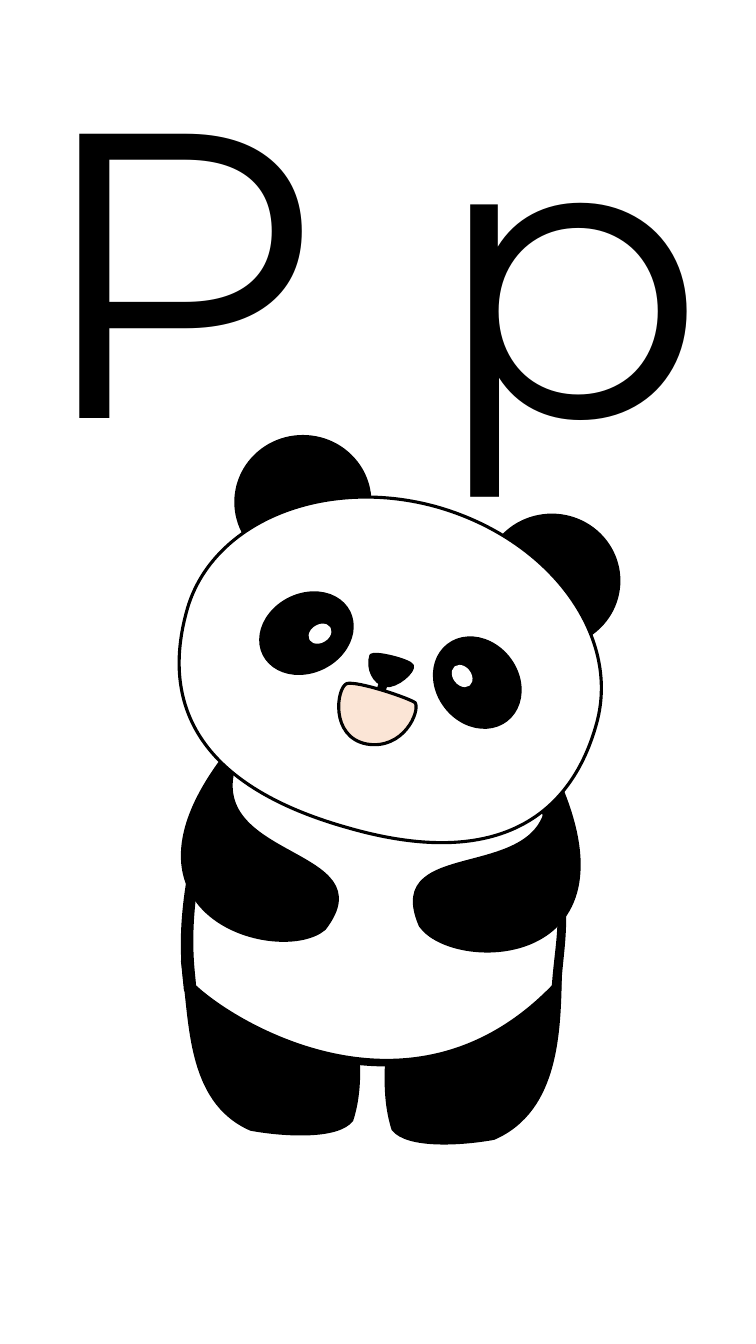
from dataclasses import dataclass
from math import cos, radians, sin

from lxml.etree import SubElement
from pptx import Presentation
from pptx.dml.color import RGBColor
from pptx.enum.shapes import MSO_SHAPE as Shape
from pptx.enum.text import MSO_AUTO_SIZE as AutoSize
from pptx.oxml.ns import qn
from pptx.util import Inches, Pt

BLACK = RGBColor(0x00, 0x00, 0x00)
WHITE = RGBColor(0xFF, 0xFF, 0xFF)
PEACH = RGBColor(0xFB, 0xE5, 0xD6)

# The page is a grid of 750 columns by 1333 rows
CELL = Inches(0.01)
COLUMNS, ROWS = 750, 1333


@dataclass
class Outline:
    """A frame, a start point, and segments of one point (line) or three (curve)."""
    frame: tuple
    start: tuple
    segments: list
    rotation: float = 0


LEFT_LEG = Outline((181, 947, 174, 178), (181, 953), [
    [(348, 947)],
    [(348, 1002), (365, 1062), (349, 1111)],
    [(335, 1129), (282, 1126), (249, 1120)],
    [(185, 1092), (190, 1011), (181, 953)]])
RIGHT_LEG = Outline((383, 956, 173, 178), (556, 961), [
    [(391, 956)],
    [(391, 1011), (374, 1070), (390, 1120)],
    [(404, 1138), (457, 1135), (490, 1129)],
    [(554, 1101), (555, 1022), (556, 961)]])
BODY_EDGE = Outline((181, 760, 380, 296), (216, 763), [
    [(529, 760)],
    [(574, 897), (558, 923), (555, 982)],
    [(408, 1128), (226, 1020), (184, 982)],
    [(183, 963), (168, 899), (216, 763)]])
BELLY = Outline((190, 757, 365, 295), (224, 759), [
    [(525, 757)],
    [(568, 894), (553, 919), (549, 978)],
    [(409, 1123), (233, 1016), (193, 978)],
    [(192, 959), (178, 895), (224, 759)]])
RIGHT_ARM = Outline((421, 770, 154, 179), (557, 782), [
    [(543, 779)],
    [(554, 884), (377, 825), (417, 918)],
    [(449, 964), (631, 962), (557, 782)]], 14.1)
LEFT_ARM = Outline((181, 754, 154, 179), (220, 754), [
    [(234, 755)],
    [(198, 855), (384, 840), (322, 921)],
    [(280, 957), (104, 911), (220, 754)]])
HEAD = Outline((177, 497, 422, 331), (185, 607), [
    [(208, 519), (319, 472), (431, 502)],
    [(544, 533), (616, 629), (592, 717)],
    [(568, 805), (498, 865), (345, 821)],
    [(192, 778), (161, 695), (185, 607)]], 15.1)
NOSE = Outline((364, 651, 44, 29), (368, 650), [
    [(372, 646), (407, 655), (409, 660)],
    [(412, 665), (394, 682), (382, 680)],
    [(371, 677), (364, 663), (368, 650)]], 13.8)
MOUTH = Outline((333, 683, 77, 56), (344, 678), [
    [(354, 675), (405, 692), (412, 697)],
    [(417, 706), (400, 744), (364, 738)],
    [(327, 731), (334, 682), (344, 678)]], 13.5)


def cells(lengths):
    return [CELL * length for length in lengths]


def paint(shape, fill, line):
    shape.shadow.inherit = False
    shape.fill.solid()
    shape.fill.fore_color.rgb = fill
    shape.line.color.rgb = line
    shape.line.width = Pt(2.25)


def local_point(outline, point):
    """The point inside the frame before the frame is turned."""
    left, top, width, height = outline.frame
    turn = radians(-outline.rotation)
    dx, dy = point[0] - left - width / 2, point[1] - top - height / 2
    return (round(CELL * (width / 2 + dx * cos(turn) - dy * sin(turn))),
            round(CELL * (height / 2 + dx * sin(turn) + dy * cos(turn))))


def add_outline(panda, outline, fill=BLACK):
    builder = panda.shapes.build_freeform(*cells(outline.start))
    builder.add_line_segments([cells(part[-1]) for part in outline.segments])
    shape = builder.convert_to_shape()
    shape.left, shape.top, shape.width, shape.height = cells(outline.frame)
    shape.rotation = outline.rotation
    paint(shape, fill, BLACK)
    # Give the outline its true curves
    route = shape.element.find(".//" + qn("a:path"))
    for child in list(route):
        route.remove(child)
    route.set("w", str(shape.width))
    route.set("h", str(shape.height))
    for part in [None, *outline.segments]:
        points = part or [outline.start]
        tag = "a:moveTo" if part is None else "a:lnTo" if len(part) == 1 else "a:cubicBezTo"
        step = SubElement(route, qn(tag))
        for point in points:
            x, y = local_point(outline, point)
            SubElement(step, qn("a:pt"), x=str(x), y=str(y))
    SubElement(route, qn("a:close"))


def add_preset(panda, kind, place, rotation=0, color=BLACK):
    shape = panda.shapes.add_shape(kind, *cells(place))
    shape.rotation = rotation
    paint(shape, color, color)


def add_letters(page, text, place):
    box = page.shapes.add_textbox(*cells(place))
    frame = box.text_frame
    frame.word_wrap = True
    frame.auto_size = AutoSize.SHAPE_TO_FIT_TEXT
    frame.text = text
    span = frame.paragraphs[0].runs[0]
    span.font.name = "Montserrat"
    span.font.size = Pt(290)
    span.font.color.rgb = BLACK
    # Thin outline round the letters, placed before the fill
    properties = span.font.fill._xPr
    edge = SubElement(properties, qn("a:ln"), w=str(Pt(0.75)))
    color = SubElement(SubElement(edge, qn("a:solidFill")), qn("a:srgbClr"))
    color.set("val", str(BLACK))
    properties.insert(0, edge)


def add_panda(page):
    panda = page.shapes.add_group_shape()
    # Legs, body and ears
    for outline in (LEFT_LEG, RIGHT_LEG, BODY_EDGE):
        add_outline(panda, outline)
    for left, top in ((234, 433), (481, 511)):
        add_preset(panda, Shape.OVAL, (left, top, 133, 130))
    add_outline(panda, BELLY, WHITE)
    # Arms and head
    add_outline(panda, RIGHT_ARM)
    add_outline(panda, LEFT_ARM)
    add_outline(panda, HEAD, WHITE)
    # Eye patches, nose and mouth
    add_preset(panda, Shape.OVAL, (434, 630, 79, 94), 322.1)
    add_preset(panda, Shape.OVAL, (266, 581, 76, 94), 63.6)
    add_outline(panda, NOSE)
    add_preset(panda, Shape.RECTANGLE, (376, 675, 6, 14), 18.5)
    add_outline(panda, MOUTH, PEACH)
    # Pupils
    add_preset(panda, Shape.OVAL, (451, 660, 15, 21), 322.1, WHITE)
    add_preset(panda, Shape.OVAL, (310, 618, 15, 21), 238.8, WHITE)


def main():
    deck = Presentation()
    deck.slide_width = CELL * COLUMNS
    deck.slide_height = CELL * ROWS
    page = deck.slides.add_slide(deck.slide_layouts[6])
    page.background.fill.solid()
    page.background.fill.fore_color.rgb = WHITE
    add_panda(page)
    add_letters(page, "P p", (23, 7, 793, 498))
    deck.save("out.pptx")


if __name__ == "__main__":
    main()
